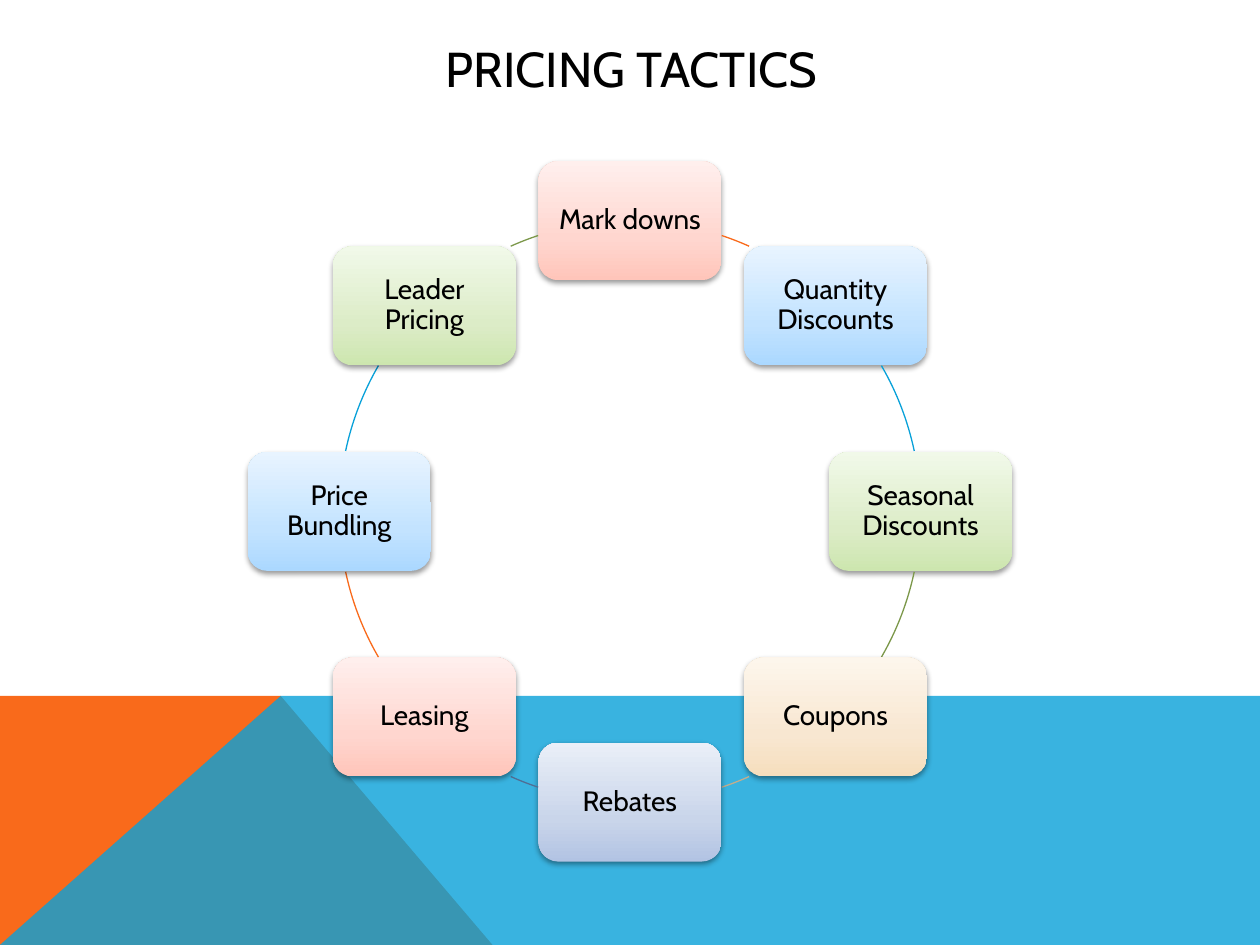
import copy
import math

from lxml import etree
from pptx import Presentation
from pptx import util as u
from pptx.dml.color import RGBColor
from pptx.enum import shapes, text
from pptx.oxml.ns import qn

TITLE = "PRICING TACTICS"
TACTICS = [
    ("Mark downs", "red", "orange"),
    ("Quantity Discounts", "blue", "sky"),
    ("Seasonal Discounts", "green", "olive"),
    ("Coupons", "sand", "tan"),
    ("Rebates", "slate", "navy"),
    ("Leasing", "red", "orange"),
    ("Price Bundling", "blue", "sky"),
    ("Leader Pricing", "green", "olive"),
]
COLORS = {
    "black": "000000",
    "orange": "F96A1B",
    "sky": "08A1D9",
    "olive": "7C984A",
    "tan": "C2AD8D",
    "navy": "506E94",
}
GRADIENTS = {
    "red": ("FFC5BA", "FFD6CF", "FFEFED"),
    "blue": ("ABD8FF", "C3E3FF", "E8F4FF"),
    "green": ("CDE6AF", "DCECC7", "F1F9E9"),
    "sand": ("F6DEBD", "F8E7D1", "FDF6EC"),
    "slate": ("B2C3E3", "C9D5EA", "EAEFF8"),
}
STOP_POSITIONS = (0, 0.35, 1)
BANDS = [
    ("orange", 100, [(0, 19.05), (0, 14.03), (5.66, 14.03), (9.93, 19.05)]),
    ("sky", 80, [(0, 19.05), (5.66, 14.03), (25.4, 14.03), (25.4, 19.05)]),
]
CENTER_X, CENTER_Y, RADIUS = 12.7, 10.31, 5.86
BOX_WIDTH, BOX_HEIGHT = 3.69, 2.4
HALF_ARCS = [(288.4, 294.2), (329.9, 348), (12, 30.1), (65.8, 71.6)]
ARCS = HALF_ARCS + [((start + 180) % 360, (end + 180) % 360) for start, end in HALF_ARCS]


def rgb(name):
    return RGBColor.from_string(COLORS[name])


def write(shape, words, size, margin=0.25, line_spacing=1.0):
    frame = shape.text_frame
    frame.word_wrap = True
    frame.auto_size = text.MSO_AUTO_SIZE.NONE
    frame.vertical_anchor = text.MSO_ANCHOR.MIDDLE
    frame.margin_left = frame.margin_right = u.Cm(margin)
    frame.margin_top = frame.margin_bottom = u.Cm(margin)
    frame.text = words
    paragraph = frame.paragraphs[0]
    paragraph.alignment = text.PP_ALIGN.CENTER
    paragraph.line_spacing = line_spacing
    paragraph.font.name = "Cabin"
    paragraph.font.size = u.Pt(size)
    paragraph.font.color.rgb = rgb("black")


def set_alpha(color, percent):
    etree.SubElement(color, qn("a:alpha"), val=str(percent * 1000))


def add_band(slide, color, opacity, points):
    corners = [(u.Cm(x), u.Cm(y)) for x, y in points]
    builder = slide.shapes.build_freeform(*corners[0])
    builder.add_line_segments(corners[1:], close=True)
    shape = builder.convert_to_shape()
    shape.shadow.inherit = False
    shape.line.fill.background()
    shape.fill.solid()
    shape.fill.fore_color.rgb = rgb(color)
    if opacity < 100:
        set_alpha(shape.element.spPr.find(".//" + qn("a:srgbClr")), opacity)


def fill_gradient(shape, stops):
    shape.fill.gradient()
    shape.fill.gradient_angle = 90
    stop_list = shape.element.spPr.find(".//" + qn("a:gsLst"))
    stop_list.append(copy.deepcopy(stop_list[0]))
    for stop, color, position in zip(shape.fill.gradient_stops, stops, STOP_POSITIONS):
        stop.color.rgb = RGBColor.from_string(color)
        stop.position = position


def add_shadow(shape):
    shape.shadow.inherit = False
    effects = shape.element.spPr.find(qn("a:effectLst"))
    shadow = etree.SubElement(effects, qn("a:outerShdw"), blurRad="40000", dist="20000",
                              dir="5400000", rotWithShape="0")
    set_alpha(etree.SubElement(shadow, qn("a:srgbClr"), val=COLORS["black"]), 38)


def add_box(slide, words, gradient, index):
    angle = math.tau * index / len(TACTICS)
    x = CENTER_X + RADIUS * math.sin(angle)
    y = CENTER_Y - RADIUS * math.cos(angle)
    box = slide.shapes.add_shape(
        shapes.MSO_SHAPE.ROUNDED_RECTANGLE,
        u.Cm(x - BOX_WIDTH / 2), u.Cm(y - BOX_HEIGHT / 2), u.Cm(BOX_WIDTH), u.Cm(BOX_HEIGHT))
    box.line.fill.background()
    fill_gradient(box, GRADIENTS[gradient])
    add_shadow(box)
    write(box, words, size=16, margin=0.29, line_spacing=0.9)


def add_arc(slide, color, angles):
    arc = slide.shapes.add_shape(
        shapes.MSO_SHAPE.ARC, u.Cm(CENTER_X - RADIUS), u.Cm(CENTER_Y - RADIUS),
        u.Cm(2 * RADIUS), u.Cm(2 * RADIUS))
    for position, degrees in enumerate(angles):
        arc.adjustments[position] = degrees * 0.6
    arc.shadow.inherit = False
    arc.fill.background()
    arc.line.color.rgb = rgb(color)
    arc.line.width = u.Pt(0.75)


def main():
    presentation = Presentation()
    presentation.slide_width, presentation.slide_height = u.Cm(25.4), u.Cm(19.05)
    slide = presentation.slides.add_slide(presentation.slide_layouts[5])
    for band in BANDS:
        add_band(slide, *band)

    title = slide.shapes.title
    title.left, title.top = u.Cm(2.29), u.Cm(0.61)
    title.width, title.height = u.Cm(20.88), u.Cm(1.52)
    write(title, TITLE, size=28, margin=0.13)

    for index, (words, gradient, arc_color) in enumerate(TACTICS):
        add_box(slide, words, gradient, index)
        add_arc(slide, arc_color, ARCS[index])
    presentation.save("out.pptx")


if __name__ == "__main__":
    main()
